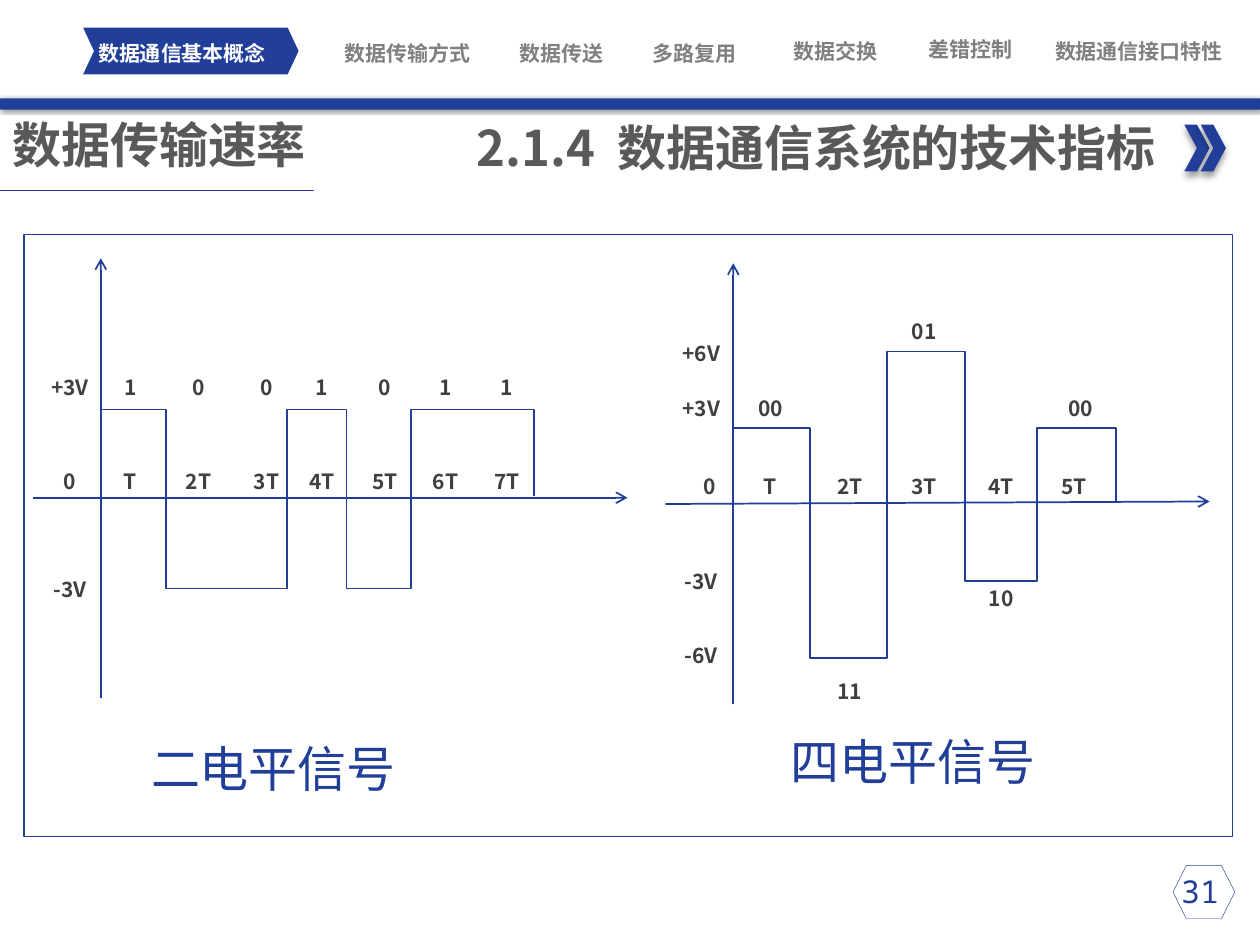
from lxml.etree import SubElement
from pptx import Presentation
from pptx.dml.color import RGBColor
from pptx.enum.shapes import MSO_CONNECTOR, MSO_SHAPE
from pptx.enum.text import MSO_ANCHOR, MSO_AUTO_SIZE, PP_ALIGN
from pptx.oxml.ns import qn
from pptx.util import Inches, Pt

BLUE, GREY, DARK, MUTED, WHITE = "213F99", "595959", "404040", "808080", "FFFFFF"
SANS, MONO, CONDENSED = "Noto Sans CJK SC", "Noto Sans Mono", "Roboto Condensed"
LABEL_SIZE = (0.59, 0.3)

# text, left, top, width
NAVIGATION = [
    ("数据通信基本概念", 0.72, 0.32, 1.45),
    ("数据传输方式", 2.51, 0.32, 1.45),
    ("数据传送", 3.73, 0.32, 1.45),
    ("多路复用", 4.79, 0.32, 1.45),
    ("数据交换", 5.91, 0.31, 1.45),
    ("差错控制", 6.98, 0.29, 1.45),
    ("数据通信接口特性", 8.08, 0.31, 1.92),
]

# Bits and level marks are (text, left, top); a wave holds one level between two edges.
SIGNALS = [
    {
        "caption": ("二电平信号", (0.94, 5.81, 2.46, 0.57)),
        "time_axis": (0.26, 3.95, 4.98, 3.95),
        "level_axis": (0.8, 5.54, 0.8, 2.05),
        "edges": [0.8, 1.32, 2.28, 2.75, 3.26, 4.24],
        "levels": [3.25, 4.67, 3.25, 4.67, 3.25],
        "wave_end": 3.94,
        "period_lefts": [0.74, 1.28, 1.82, 2.26, 2.76, 3.24, 3.73],
        "period_top": 3.67,
        "bits": list("1001011"),
        "bit_tops": [2.92] * 7,
        "marks": [("+3V", 0.26, 2.92), ("0", 0.26, 3.67), ("-3V", 0.26, 4.53)],
    },
    {
        "caption": ("四电平信号", (5.9, 5.76, 2.69, 0.57)),
        "time_axis": (5.28, 4, 9.6, 3.98),
        "level_axis": (5.82, 5.59, 5.82, 2.09),
        "edges": [5.81, 6.43, 7.04, 7.66, 8.23, 8.86],
        "levels": [3.4, 5.22, 2.79, 4.61, 3.4],
        "wave_end": 3.98,
        "period_lefts": [5.82, 6.45, 7.04, 7.65, 8.23],
        "period_top": 3.71,
        "bits": ["00", "11", "01", "10", "00"],
        "bit_tops": [3.09, 5.34, 2.48, 4.6, 3.09],
        "marks": [("+6V", 5.27, 2.65), ("+3V", 5.27, 3.09), ("0", 5.34, 3.71),
                  ("-3V", 5.27, 4.46), ("-6V", 5.27, 5.05)],
    },
]


def color(value):
    return RGBColor.from_string(value)


def inches(values):
    return [Inches(value) for value in values]


def style_shape(shape, fill=None, line_width=None):
    shape.shadow.inherit = False
    if fill:
        shape.fill.solid()
        shape.fill.fore_color.rgb = color(fill)
    else:
        shape.fill.background()
    if line_width:
        shape.line.color.rgb = color(BLUE)
        shape.line.width = Pt(line_width)
    else:
        shape.line.fill.background()


def add_preset(parent, preset, place, fill=None, line_width=None):
    shape = parent.add_shape(preset, *inches(place))
    style_shape(shape, fill, line_width)
    return shape


def cast_shadow(shape, blur, distance, angle):
    """Add a 40 % black outer shadow; lengths in points, angle in degrees."""
    effects = shape._element.spPr.find(qn("a:effectLst"))
    shadow = SubElement(effects, qn("a:outerShdw"), blurRad=str(Pt(blur)),
                        dist=str(Pt(distance)), dir=str(angle * 60000),
                        algn="ctr", rotWithShape="0")
    tone = SubElement(shadow, qn("a:srgbClr"), val="000000")
    SubElement(tone, qn("a:alpha"), val="40000")


def add_line(shapes, ends, width, arrow=False):
    line = shapes.add_connector(MSO_CONNECTOR.STRAIGHT, *inches(ends))
    line.line.color.rgb = color(BLUE)
    line.line.width = Pt(width)
    if arrow:
        SubElement(line.line._get_or_add_ln(), qn("a:tailEnd"), type="arrow")
    SubElement(line._element.spPr, qn("a:effectLst"))


def add_text(shapes, spans, place, size, tone, font=SANS, bold=False,
             align=PP_ALIGN.CENTER, tight=False):
    """Add one paragraph of (text, letter spacing in points) spans."""
    box = shapes.add_textbox(*inches(place))
    frame = box.text_frame
    frame.word_wrap = True
    frame.auto_size = MSO_AUTO_SIZE.SHAPE_TO_FIT_TEXT
    if tight:
        frame.margin_left = frame.margin_right = 0
        frame.margin_top = frame.margin_bottom = 0
        frame.vertical_anchor = MSO_ANCHOR.MIDDLE
    para = frame.paragraphs[0]
    para.alignment = align
    for text, spacing in spans:
        span = para.add_run()
        span.text = text
        span.font.size = Pt(size)
        span.font.bold = bold
        span.font.color.rgb = color(tone)
        span.font.name = font
        properties = span.font._element
        SubElement(properties, qn("a:ea"), typeface=font)
        if spacing:
            properties.set("spc", str(round(spacing * 100)))


def add_label(shapes, text, left, top):
    add_text(shapes, [(text, 0)], (left, top, *LABEL_SIZE), 12, DARK, bold=True)


def add_wave(shapes, edges, levels, end):
    points = []
    for start, stop, level in zip(edges, edges[1:], levels):
        points += [(start, level), (stop, level)]
    points.append((edges[-1], end))
    corners = [tuple(inches(point)) for point in points]
    builder = shapes.build_freeform(*corners[0])
    builder.add_line_segments(corners[1:], close=False)
    style_shape(builder.convert_to_shape(), line_width=1)


def add_header(shapes):
    bar = add_preset(shapes, MSO_SHAPE.RECTANGLE, (0, 0.78, 10, 0.09), BLUE)
    cast_shadow(bar, 2, 1, 45)
    arrows = shapes.add_group_shape()
    for left in (9.4, 9.53):
        arrow = add_preset(arrows.shapes, MSO_SHAPE.CHEVRON, (left, 0.99, 0.2, 0.37), BLUE)
        cast_shadow(arrow, 4, 3, 90)
    add_text(shapes, [("2.1.4", 0), (" ", 6.3), ("数据通信系统的技术指标", 0)],
             (0.76, 0.88, 8.51, 0.57), 28, GREY, bold=True, align=PP_ALIGN.RIGHT)
    current = add_preset(shapes, MSO_SHAPE.CHEVRON, (0.66, 0.22, 1.71, 0.37), BLUE)
    current.adjustments[0] = 0.234
    for index, (text, left, top, width) in enumerate(NAVIGATION):
        add_text(shapes, [(text, 0)], (left, top, width, 0.2), 12,
                 MUTED if index else WHITE, CONDENSED, bold=True, tight=True)
    add_line(shapes, (0, 1.51, 2.49, 1.51), 0.5)
    add_text(shapes, [("数据传输速率", 0)], (0, 0.86, 3.76, 0.57), 28, GREY,
             bold=True, align=PP_ALIGN.LEFT)


def add_signal(shapes, signal):
    for axis in ("time_axis", "level_axis"):
        add_line(shapes, signal[axis], 1, arrow=True)
    add_wave(shapes, signal["edges"], signal["levels"], signal["wave_end"])
    columns = zip(signal["period_lefts"], signal["bits"], signal["bit_tops"])
    for number, (left, bit, top) in enumerate(columns, 1):
        # The last bit of the four-level wave sits right of its period label.
        shift = 0.05 if (bit, number) == ("00", 5) else 0
        add_label(shapes, bit, left + shift, top)
        add_label(shapes, f"{number}T" if number > 1 else "T", left, signal["period_top"])
    for mark in signal["marks"]:
        add_label(shapes, *mark)
    caption, place = signal["caption"]
    add_text(shapes, [(caption, 0)], place, 28, BLUE)


def main():
    deck = Presentation()
    deck.slide_width, deck.slide_height = Inches(10), Inches(7.5)
    page = deck.slides.add_slide(deck.slide_layouts[6])
    shapes = page.shapes
    add_preset(shapes, MSO_SHAPE.HEXAGON, (9.31, 6.87, 0.49, 0.42), line_width=0.25)
    add_text(shapes, [("31", 0)], (9.09, 6.87, 0.87, 0.4), 18, BLUE, MONO)
    add_header(shapes)
    add_preset(shapes, MSO_SHAPE.RECTANGLE, (0.19, 1.86, 9.59, 4.78), line_width=0.75)
    for signal in SIGNALS:
        add_signal(shapes, signal)
    deck.save("out.pptx")


if __name__ == "__main__":
    main()
